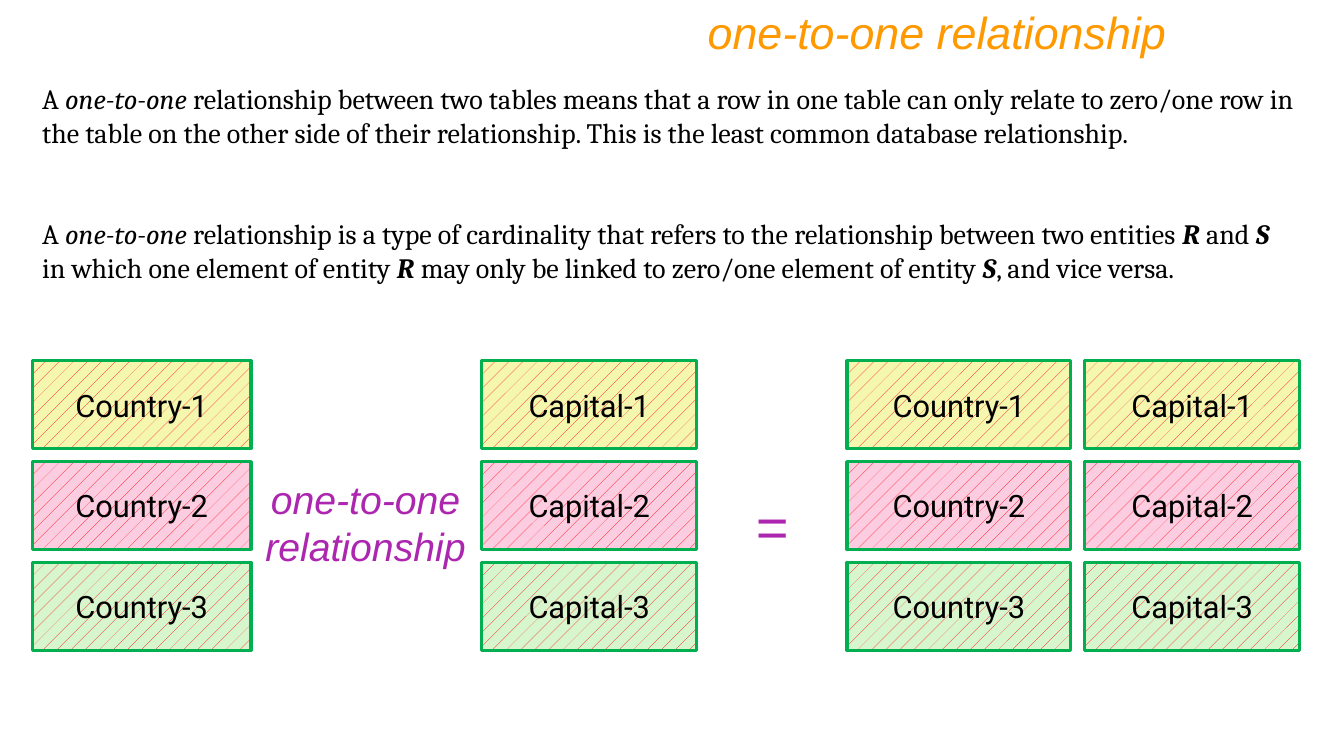
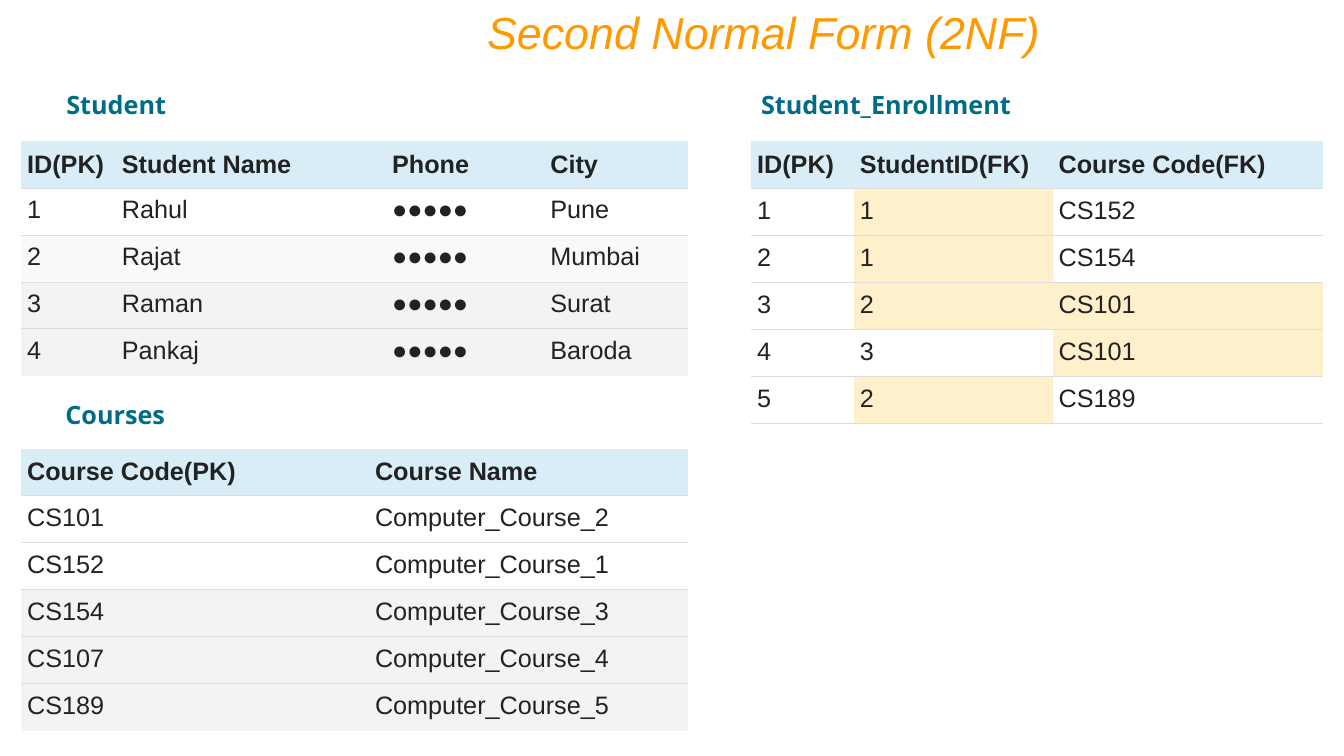
import lxml.etree
import pptx
import pptx.dml.color
import pptx.enum.dml
import pptx.enum.shapes
import pptx.enum.text
import pptx.oxml.ns
import pptx.util

Inches = pptx.util.Inches
Pt = pptx.util.Pt
RGB = pptx.dml.color.RGBColor
ALIGN = pptx.enum.text.PP_ALIGN
ANCHOR = pptx.enum.text.MSO_ANCHOR
qn = pptx.oxml.ns.qn

ORANGE = RGB(0xFF, 0x99, 0x00)
PURPLE = RGB(0xAC, 0x26, 0xAF)
TEAL = RGB(0x00, 0x6C, 0x86)
BLACK = RGB(0x00, 0x00, 0x00)
INK = RGB(0x22, 0x22, 0x22)
RED = RGB(0xFF, 0x00, 0x00)
GREEN = RGB(0x00, 0xB0, 0x50)
YELLOW_TINT = RGB(0xF5, 0xF7, 0xAF)
PINK_TINT = RGB(0xFC, 0xCC, 0xE1)
GREEN_TINT = RGB(0xD8, 0xF6, 0xCE)
HEADER_BLUE = RGB(0xD9, 0xED, 0xF7)
WHITE = RGB(0xFF, 0xFF, 0xFF)
PALE_GREY = RGB(0xF9, 0xF9, 0xF9)
GREY = RGB(0xF3, 0xF3, 0xF3)
HIGHLIGHT = RGB(0xFD, 0xF0, 0xCA)
RULE_GREY = "DDDDDD"
NO_STYLE = "{2D5ABB26-0587-4C30-8999-92F81FD0307C}"

DEFINITIONS = [
    ((0.32, 0.76, 12.65, 1.11), [
        ("A ", ""), ("one-to-one", "i"),
        (" relationship between two tables means that a row in one table can only "
         "relate to zero/one row in the table on the other side of their "
         "relationship. This is the least common database relationship.", "")]),
    ((0.32, 2.1, 12.41, 1.11), [
        ("A ", ""), ("one-to-one", "i"),
        (" relationship is a type of cardinality that refers to the relationship "
         "between two entities ", ""),
        ("R", "bi"), (" and ", ""), ("S", "bi"),
        (" in which one element of entity ", ""), ("R", "bi"),
        (" may only be linked to zero/one element of entity ", ""),
        ("S", "bi"), (", and vice versa.", "")]),
]
BOX_COLUMNS = [("Country", 0.32, 2.17), ("Capital", 4.78, 2.13),
               ("Country", 8.4, 2.22), ("Capital", 10.76, 2.13)]
BOX_FILLS = [YELLOW_TINT, PINK_TINT, GREEN_TINT]
BOX_TOP, BOX_HEIGHT, BOX_PITCH = 3.58, 0.87, 1.0
OPERATORS = [("one-to-one relationship", (2.51, 4.67, 2.23, 1.04), 28),
             ("=", (7.38, 4.83, 0.55, 0.77), 40)]

PHONE = "●●●●●"
TABLES = [
    dict(name="Student", label=(0.56, 0.84, 3.19, 0.4), at=(0.21, 1.4, 6.61, 2.33),
         widths=[0.94, 2.68, 1.57, 1.42], closed=False,
         fills=[WHITE, PALE_GREY, GREY, GREY], marked=[],
         rows=[("ID(PK)", "Student Name", "Phone", "City"),
               ("1", "Rahul", PHONE, "Pune"),
               ("2", "Rajat", PHONE, "Mumbai"),
               ("3", "Raman", PHONE, "Surat"),
               ("4", "Pankaj", PHONE, "Baroda")]),
    dict(name="Courses", label=(0.55, 3.91, 3.29, 0.4), at=(0.21, 4.45, 6.61, 2.8),
         widths=[3.45, 3.16], closed=False,
         fills=[WHITE, WHITE, GREY, GREY, GREY], marked=[],
         rows=[("Course Code(PK)", "Course Name"),
               ("CS101", "Computer_Course_2"),
               ("CS152", "Computer_Course_1"),
               ("CS154", "Computer_Course_3"),
               ("CS107", "Computer_Course_4"),
               ("CS189", "Computer_Course_5")]),
    dict(name="Student_Enrollment", label=(7.45, 0.84, 3.29, 0.4),
         at=(7.45, 1.4, 5.67, 2.8), widths=[1.02, 1.97, 2.68], closed=True,
         fills=[WHITE] * 5, marked=[(1, 1), (2, 1), (3, 1), (3, 2), (4, 2), (5, 1)],
         rows=[("ID(PK)", "StudentID(FK)", "Course Code(FK)"),
               ("1", "1", "CS152"),
               ("2", "1", "CS154"),
               ("3", "2", "CS101"),
               ("4", "3", "CS101"),
               ("5", "2", "CS189")]),
]


def add_run(p, text, size=18, font="Arial", color=INK, bold=False, italic=False,
            align=None):
    if align is not None:
        p.alignment = align
    r = p.add_run()
    r.text = text
    r.font.size = Pt(size)
    r.font.name = font
    r.font.color.rgb = color
    r.font.bold = bold
    r.font.italic = italic


def inches(at):
    return [Inches(v) for v in at]


def add_slide(prs, title, at):
    slide = prs.slides.add_slide(prs.slide_layouts[5])
    sp = slide.shapes.title
    sp.left, sp.top, sp.width, sp.height = inches(at)
    tf = sp.text_frame
    tf.auto_size = pptx.enum.text.MSO_AUTO_SIZE.NONE
    tf.vertical_anchor = ANCHOR.TOP
    add_run(tf.paragraphs[0], title, size=32, color=ORANGE, italic=True,
            align=ALIGN.RIGHT)
    return slide


def add_textbox(slide, at):
    tf = slide.shapes.add_textbox(*inches(at)).text_frame
    tf.word_wrap = True
    return tf.paragraphs[0]


def add_box(slide, text, at, tint):
    sp = slide.shapes.add_shape(pptx.enum.shapes.MSO_SHAPE.RECTANGLE, *inches(at))
    sp.shadow.inherit = False
    sp.fill.patterned()
    sp.fill.pattern = pptx.enum.dml.MSO_PATTERN.PERCENT_5
    sp.fill.fore_color.rgb = RED
    sp.fill.back_color.rgb = tint
    sp.line.color.rgb = GREEN
    sp.line.width = Pt(2.25)
    sp.text_frame.vertical_anchor = ANCHOR.MIDDLE
    add_run(sp.text_frame.paragraphs[0], text, size=22, font="Roboto", color=BLACK,
            align=ALIGN.CENTER)


def set_borders(cell, tags):
    tc_pr = cell._tc.get_or_add_tcPr()
    for i, tag in enumerate(tags):
        ln = lxml.etree.Element(qn(tag), w=str(Pt(0.75)))
        fill = lxml.etree.SubElement(ln, qn("a:solidFill"))
        lxml.etree.SubElement(fill, qn("a:srgbClr"), val=RULE_GREY)
        tc_pr.insert(i, ln)


def add_table(slide, spec):
    rows, widths = spec["rows"], spec["widths"]
    last = len(rows) - 1
    frame = slide.shapes.add_table(len(rows), len(widths), *inches(spec["at"]))
    table = frame.table
    table.first_row = table.horz_banding = False
    table._tbl.tblPr.find(qn("a:tableStyleId")).text = NO_STYLE
    for column, width in zip(table.columns, widths):
        column.width = Inches(width)
    fills = [HEADER_BLUE] + spec["fills"]
    for i, row in enumerate(rows):
        table.rows[i].height = Inches(spec["at"][3] / len(rows))
        borders = ["a:lnT"] if i else []
        if i < last or spec["closed"]:
            borders.append("a:lnB")
        for j, text in enumerate(row):
            cell = table.cell(i, j)
            cell.margin_left = cell.margin_right = Inches(0.06)
            cell.margin_top = cell.margin_bottom = Inches(0.08)
            cell.vertical_anchor = ANCHOR.TOP if i else ANCHOR.MIDDLE
            cell.fill.solid()
            cell.fill.fore_color.rgb = HIGHLIGHT if (i, j) in spec["marked"] else fills[i]
            set_borders(cell, borders)
            add_run(cell.text_frame.paragraphs[0], text, bold=i == 0)


def build_relationship(prs):
    slide = add_slide(prs, "one-to-one relationship", (1.67, 0, 10, 0.64))
    for at, runs in DEFINITIONS:
        p = add_textbox(slide, at)
        for text, style in runs:
            add_run(p, text, size=20, font="Cambria", color=BLACK,
                    bold="b" in style, italic="i" in style)
    for i, tint in enumerate(BOX_FILLS):
        for label, left, width in BOX_COLUMNS:
            at = (left, BOX_TOP + i * BOX_PITCH, width, BOX_HEIGHT)
            add_box(slide, f"{label}-{i + 1}", at, tint)
    for text, at, size in OPERATORS:
        add_run(add_textbox(slide, at), text, size=size, color=PURPLE, italic=True,
                align=ALIGN.CENTER)


def build_normal_form(prs):
    slide = add_slide(prs, "Second Normal Form (2NF)", (2.92, 0, 7.5, 0.64))
    for spec in TABLES:
        add_run(add_textbox(slide, spec["label"]), spec["name"], font="Open Sans",
                color=TEAL, bold=True)
        add_table(slide, spec)


def main():
    prs = pptx.Presentation()
    prs.slide_width, prs.slide_height = Inches(13.33), Inches(7.5)
    build_relationship(prs)
    build_normal_form(prs)
    prs.save("out.pptx")


if __name__ == "__main__":
    main()
